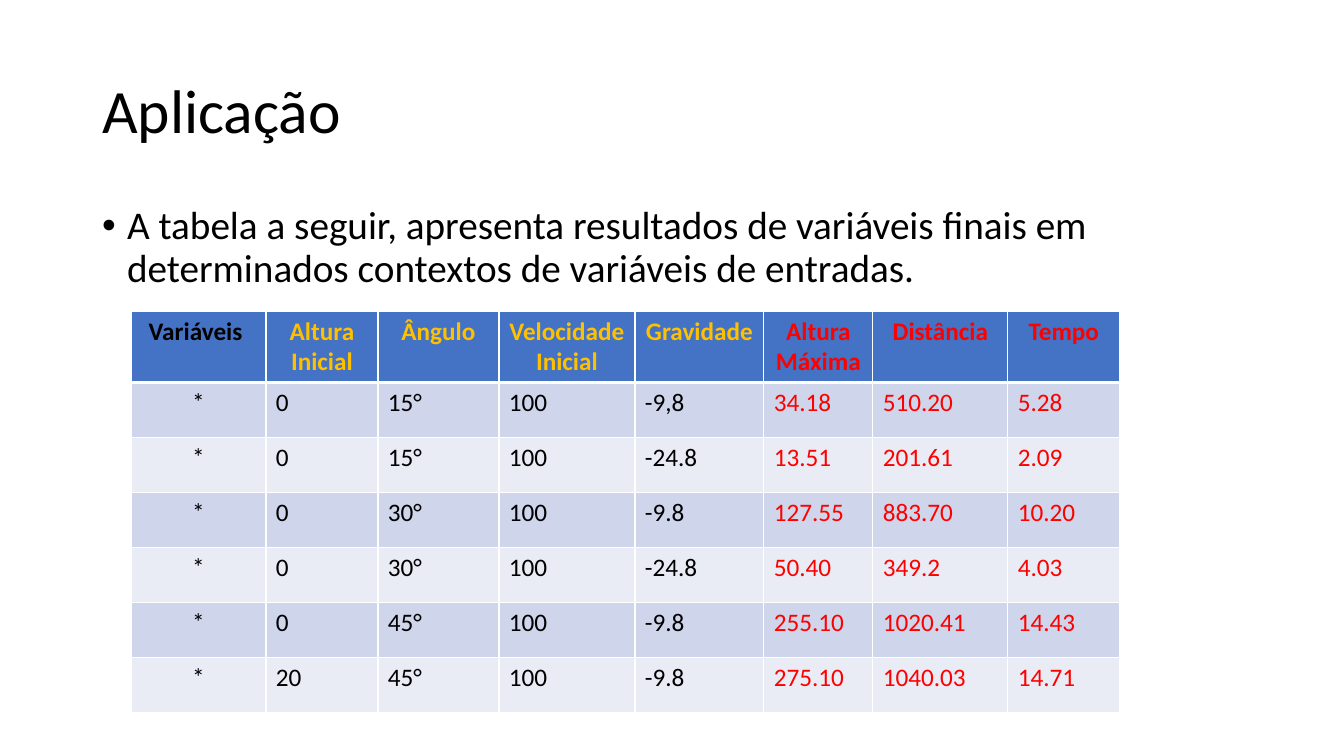
from lxml import etree
from pptx import Presentation
from pptx.dml.color import RGBColor
from pptx.enum.text import MSO_ANCHOR, MSO_AUTO_SIZE, PP_ALIGN
from pptx.oxml.ns import qn
from pptx.util import Pt

BLACK = RGBColor(0x00, 0x00, 0x00)
WHITE = RGBColor(0xFF, 0xFF, 0xFF)
BLUE = RGBColor(0x44, 0x72, 0xC4)
DARK = RGBColor(0xCF, 0xD5, 0xEA)
LIGHT = RGBColor(0xE9, 0xEB, 0xF5)
GOLD = RGBColor(0xFF, 0xC0, 0x00)
RED = RGBColor(0xFF, 0x00, 0x00)
LEFT, CENTER = PP_ALIGN.LEFT, PP_ALIGN.CENTER
TOP, MIDDLE = MSO_ANCHOR.TOP, MSO_ANCHOR.MIDDLE
NONE = MSO_AUTO_SIZE.NONE
FONT = "Calibri"
SCALE = 914400 / 100.8


def px(n):
    return round(n * SCALE)


def write(frame, text, size, color, align=LEFT, bold=False):
    para = frame.paragraphs[0]
    para.alignment = align
    run = para.add_run()
    run.text = text
    run.font.name = FONT
    run.font.size = Pt(size)
    run.font.bold = bold
    run.font.color.rgb = color
    return para


deck = Presentation()
deck.slide_width, deck.slide_height = px(1344), px(756)
slide = deck.slides.add_slide(deck.slide_layouts[1])
title, body = slide.placeholders

INTRO = ("A tabela a seguir, apresenta resultados de variáveis finais em "
         "determinados contextos de variáveis de entradas.")
for holder, top, height, anchor, text, size in [
    (title, 41, 146, MIDDLE, "Aplicação", 44),
    (body, 201, 480, TOP, INTRO, 28),
]:
    holder.left, holder.top = px(92), px(top)
    holder.width, holder.height = px(1159), px(height)
    frame = holder.text_frame
    frame.word_wrap = True
    frame.auto_size = NONE
    frame.vertical_anchor = anchor
    para = write(frame, text, size, BLACK)
    para.line_spacing = 0.9

para.space_before = Pt(10)
props = para._p.get_or_add_pPr()
props.set("marL", str(px(25)))
props.set("indent", str(-px(25)))
etree.SubElement(props, qn("a:buFont"), typeface="Arial")
etree.SubElement(props, qn("a:buChar"), char="•")

WIDTHS = [135, 112, 121, 136, 129, 109, 135, 112]
HEAD, ROW = 71, 55
DATA = [
    ["Variáveis ", "Altura Inicial", "Ângulo", "Velocidade Inicial",
     "Gravidade", "Altura Máxima", "Distância", "Tempo"],
    ["*", "0", "15°", "100", "-9,8", "34.18", "510.20", "5.28"],
    ["*", "0", "15°", "100", "-24.8", "13.51", "201.61", "2.09"],
    ["*", "0", "30°", "100", "-9.8", "127.55", "883.70", "10.20"],
    ["*", "0", "30°", "100", "-24.8", "50.40", "349.2", "4.03"],
    ["*", "0", "45°", "100", "-9.8", "255.10", "1020.41", "14.43"],
    ["*", "20", "45°", "100", "-9.8", "275.10", "1040.03", "14.71"],
]
HUES = [BLACK] + [GOLD] * 4 + [RED] * 3
high = HEAD + ROW * (len(DATA) - 1)
table = slide.shapes.add_table(len(DATA), len(WIDTHS), px(131), px(311),
                               px(sum(WIDTHS)), px(high)).table
for col, width in zip(table.columns, WIDTHS):
    col.width = px(width)

for r, line in enumerate(DATA):
    head = r == 0
    table.rows[r].height = px(HEAD if head else ROW)
    fill = BLUE if head else DARK if r % 2 else LIGHT
    for c, text in enumerate(line):
        cell = table.cell(r, c)
        cell.margin_left = cell.margin_right = px(10)
        hue = HUES[c] if head or HUES[c] == RED else BLACK
        align = CENTER if head or c == 0 else LEFT
        write(cell.text_frame, text, 18, hue, align, head)
        props = cell._tc.get_or_add_tcPr()
        for side in "LRTB":
            thick = (r, side) in [(0, "B"), (1, "T")]
            edge = etree.SubElement(props, qn("a:ln" + side),
                                    w=str(Pt(3 if thick else 1)))
            paint = etree.SubElement(edge, qn("a:solidFill"))
            etree.SubElement(paint, qn("a:srgbClr"), val=str(WHITE))
        cell.fill.solid()
        cell.fill.fore_color.rgb = fill

deck.save("out.pptx")
